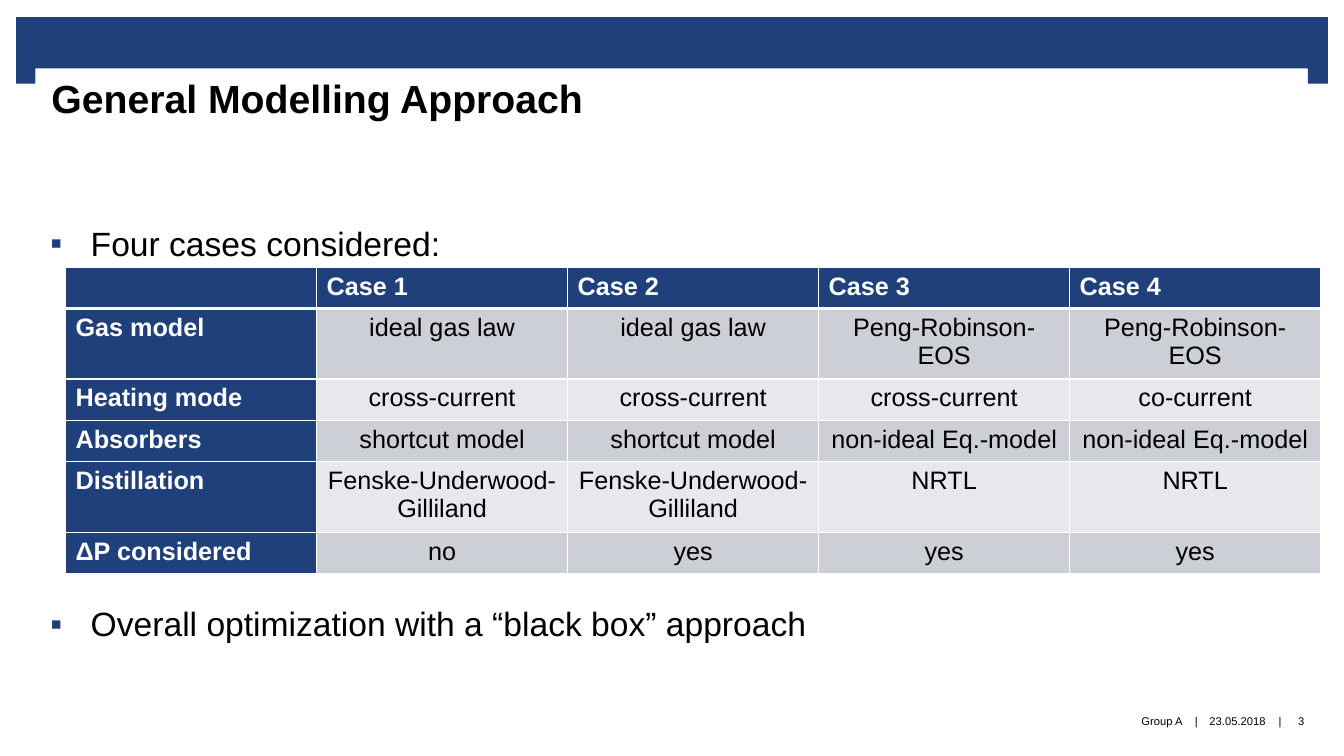
from lxml import etree
from pptx import Presentation
from pptx.dml.color import RGBColor
from pptx.enum.shapes import MSO_SHAPE
from pptx.enum.text import MSO_ANCHOR, PP_ALIGN
from pptx.oxml.ns import qn
from pptx.util import Inches, Pt

RECTANGLE = MSO_SHAPE.RECTANGLE
MIDDLE, TOP = MSO_ANCHOR.MIDDLE, MSO_ANCHOR.TOP
LEFT, CENTER, RIGHT = PP_ALIGN.LEFT, PP_ALIGN.CENTER, PP_ALIGN.RIGHT
NAVY = RGBColor(0x1F, 0x40, 0x7A)
WHITE = RGBColor(0xFF, 0xFF, 0xFF)
BLACK = RGBColor(0x00, 0x00, 0x00)
BAND_DARK = RGBColor(0xCD, 0xCF, 0xD7)
BAND_LIGHT = RGBColor(0xE8, 0xE8, 0xEC)


def add_text(para, text, size, color=BLACK, bold=False, align=LEFT):
    para.alignment = align
    span = para.add_run()
    span.text = text
    span.font.name = "Arial"
    span.font.size = Pt(size)
    span.font.bold = bold
    span.font.color.rgb = color


def add_box(left, top, width, height, insets=(0, 0, 0, 0), anchor=TOP):
    box = page.shapes.add_textbox(Inches(left), Inches(top), Inches(width), Inches(height))
    frame = box.text_frame
    frame.word_wrap = True
    frame.vertical_anchor = anchor
    frame.margin_left, frame.margin_top, frame.margin_right, frame.margin_bottom = map(Inches, insets)
    return box


deck = Presentation()
deck.slide_width, deck.slide_height = Inches(13.33), Inches(7.5)
page = deck.slides.add_slide(deck.slide_layouts[6])

# Header band with a tab at each end
for left, top, width, height in [(0.16, 0.17, 13.01, 0.52), (0.16, 0.65, 0.2, 0.18), (12.97, 0.65, 0.2, 0.18)]:
    band = page.shapes.add_shape(RECTANGLE, Inches(left), Inches(top), Inches(width), Inches(height))
    band.shadow.inherit = False
    band.fill.solid()
    band.fill.fore_color.rgb = NAVY
    band.line.fill.background()

# Bullets above and below the table
body = add_box(0.35, 2.21, 12.62, 4.6, (0.15, 0, 0.16, 0)).text_frame
bullets = [("Four cases considered:", 0), ("Overall optimization with a “black box” approach", 243)]
for index, (text, space_before) in enumerate(bullets):
    para = body.add_paragraph() if index else body.paragraphs[0]
    para.space_before = Pt(space_before)
    add_text(para, text, 24)
    properties = para._p.get_or_add_pPr()
    properties.set("marL", str(Inches(0.4)))
    properties.set("indent", str(Inches(-0.4)))
    bullet_color = etree.SubElement(properties, qn("a:buClr"))
    etree.SubElement(bullet_color, qn("a:srgbClr"), val=str(NAVY))
    etree.SubElement(properties, qn("a:buFont"), typeface="Arial")
    etree.SubElement(properties, qn("a:buChar"), char="▪")

# Footer
footer = [
    (12.62, 0.15, "|", CENTER),
    (11.79, 0.15, "|", CENTER),
    (11.94, 0.67, "23.05.2018", CENTER),
    (6.66, 5.07, "Group A", RIGHT),
    (12.71, 0.39, "3", CENTER),
]
for left, width, text, align in footer:
    box = add_box(left, 6.9, width, 0.5, anchor=MIDDLE)
    add_text(box.text_frame.paragraphs[0], text, 8, align=align)

# Title
title = add_box(0.35, 0.68, 12.62, 1.06, (0.16, 0.06, 0.16, 0))
title.fill.solid()
title.fill.fore_color.rgb = WHITE
add_text(title.text_frame.paragraphs[0], "General Modelling Approach", 28, bold=True)

# Table of cases
cases = [
    ["", "Case 1", "Case 2", "Case 3", "Case 4"],
    ["Gas model", "ideal gas law", "ideal gas law", "Peng-Robinson-EOS", "Peng-Robinson-EOS"],
    ["Heating mode", "cross-current", "cross-current", "cross-current", "co-current"],
    ["Absorbers", "shortcut model", "shortcut model", "non-ideal Eq.-model", "non-ideal Eq.-model"],
    ["Distillation", "Fenske-Underwood-Gilliland", "Fenske-Underwood-Gilliland", "NRTL", "NRTL"],
    ["ΔP considered", "no", "yes", "yes", "yes"],
]
row_heights = [0.41, 0.65, 0.41, 0.41, 0.65, 0.41]
table = page.shapes.add_table(
    len(cases), len(cases[0]), Inches(0.65), Inches(2.65), Inches(12.45), Inches(sum(row_heights))
).table
for column in table.columns:
    column.width = Inches(2.49)
for row, values in enumerate(cases):
    table.rows[row].height = Inches(row_heights[row])
    for col, value in enumerate(values):
        cell = table.cell(row, col)
        heading = row == 0 or col == 0
        # White borders, thicker below the heading row
        borders = {"L": 1, "R": 1, "T": 3 if row == 1 else 1, "B": 3 if row == 0 else 1}
        for side, points in borders.items():
            border = etree.SubElement(cell._tc.get_or_add_tcPr(), qn("a:ln" + side), w=str(Pt(points)))
            border_fill = etree.SubElement(border, qn("a:solidFill"))
            etree.SubElement(border_fill, qn("a:srgbClr"), val=str(WHITE))
        cell.fill.solid()
        cell.fill.fore_color.rgb = NAVY if heading else BAND_DARK if row % 2 else BAND_LIGHT
        if value:
            add_text(cell.text_frame.paragraphs[0], value, 18, WHITE if heading else BLACK,
                     heading, LEFT if heading else CENTER)

deck.save("out.pptx")
